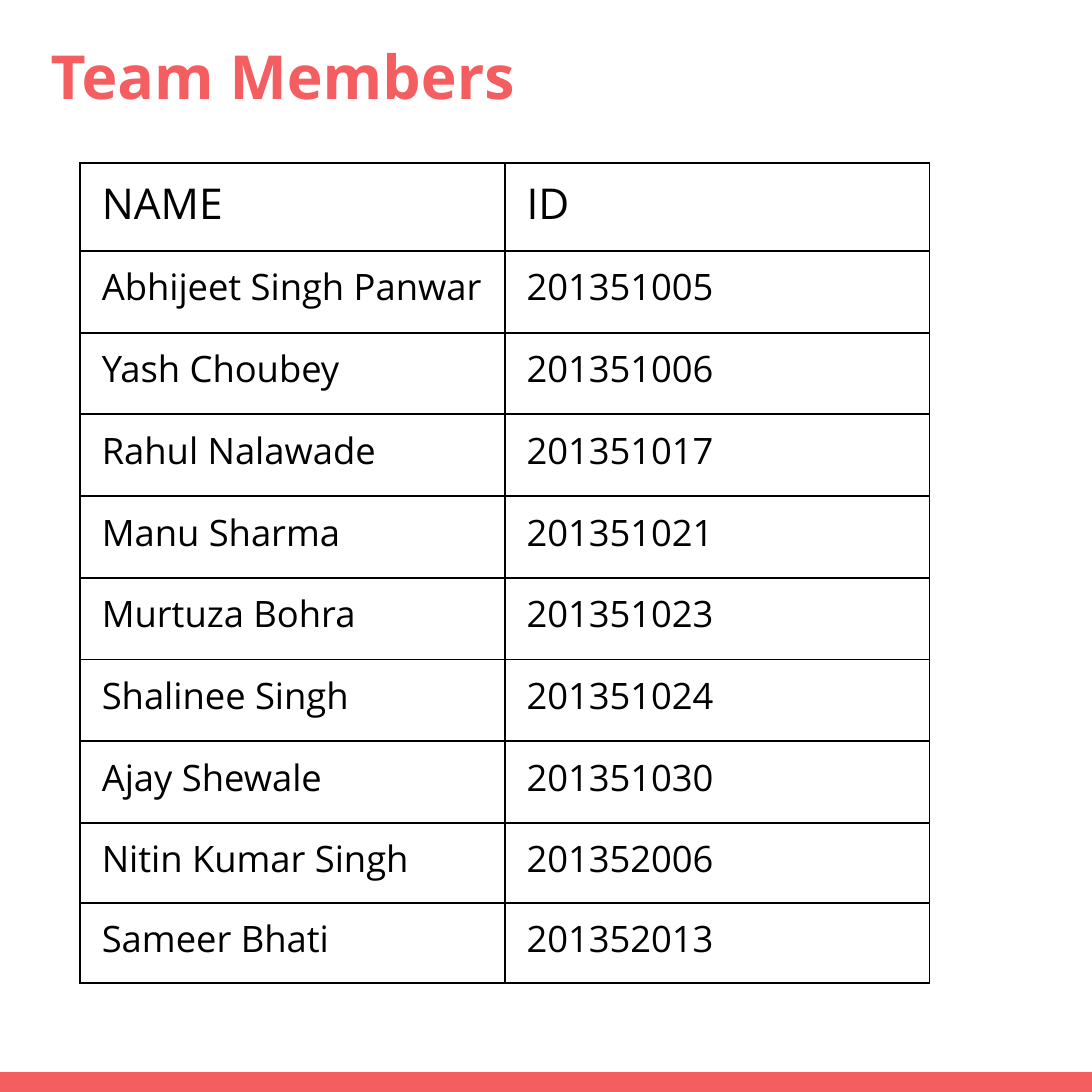
import pptx
import pptx.util
import pptx.dml.color
import pptx.enum.shapes
import pptx.oxml
import pptx.oxml.ns
from pptx.util import Cm

COLORS = {"coral": "F55E61", "ink": "000000"}
MEMBERS = [
    ("NAME", "ID"),
    ("Abhijeet Singh Panwar", "201351005"),
    ("Yash Choubey", "201351006"),
    ("Rahul Nalawade", "201351017"),
    ("Manu Sharma", "201351021"),
    ("Murtuza Bohra", "201351023"),
    ("Shalinee Singh", "201351024"),
    ("Ajay Shewale", "201351030"),
    ("Nitin Kumar Singh", "201352006"),
    ("Sameer Bhati", "201352013"),
]
ROW_HEIGHTS = [1.02] + [0.95] * 7 + [0.93] * 2


def write_text(frame, text, size=12, color="ink", bold=False, spacing=1.0):
    para = frame.paragraphs[0]
    para.line_spacing = spacing
    span = para.add_run()
    span.text = text
    span.font.name = "Open Sans"
    span.font.size = pptx.util.Pt(size)
    span.font.bold = bold
    span.font.color.rgb = pptx.dml.color.RGBColor.from_string(COLORS[color])


def add_borders(cell):
    properties = cell._tc.get_or_add_tcPr()
    for position, side in enumerate(("lnL", "lnR", "lnT", "lnB")):
        border = pptx.oxml.parse_xml(
            f'<a:{side} {pptx.oxml.ns.nsdecls("a")} w="9525"><a:solidFill>'
            f'<a:srgbClr val="{COLORS["ink"]}"/></a:solidFill></a:{side}>')
        properties.insert(position, border)


deck = pptx.Presentation()
deck.slide_width = deck.slide_height = Cm(12.7)
page = deck.slides.add_slide(deck.slide_layouts[6])

# Bottom band
band = page.shapes.add_shape(
    pptx.enum.shapes.MSO_SHAPE.RECTANGLE, 0, Cm(12.47), deck.slide_width, Cm(0.23))
band.shadow.inherit = False
band.fill.solid()
band.fill.fore_color.rgb = pptx.dml.color.RGBColor.from_string(COLORS["coral"])
band.line.fill.background()

# Title
title = page.shapes.add_textbox(Cm(0.43), Cm(0.36), Cm(11.84), Cm(1.55)).text_frame
title.word_wrap = True
title.margin_left = title.margin_right = Cm(0.16)
title.margin_top = title.margin_bottom = Cm(0.16)
write_text(title, "Team Members", size=20, color="coral", bold=True, spacing=0.95)

# Member table
table = page.shapes.add_table(
    len(MEMBERS), 2, Cm(0.93), Cm(1.9), Cm(9.88), Cm(sum(ROW_HEIGHTS))).table
table.first_row = table.horz_banding = False
for column in table.columns:
    column.width = Cm(4.94)
for index, (member, height) in enumerate(zip(MEMBERS, ROW_HEIGHTS)):
    table.rows[index].height = Cm(height)
    for cell, text in zip(table.rows[index].cells, member):
        cell.fill.background()
        add_borders(cell)
        write_text(cell.text_frame, text, size=14 if index == 0 else 12)

deck.save("out.pptx")
